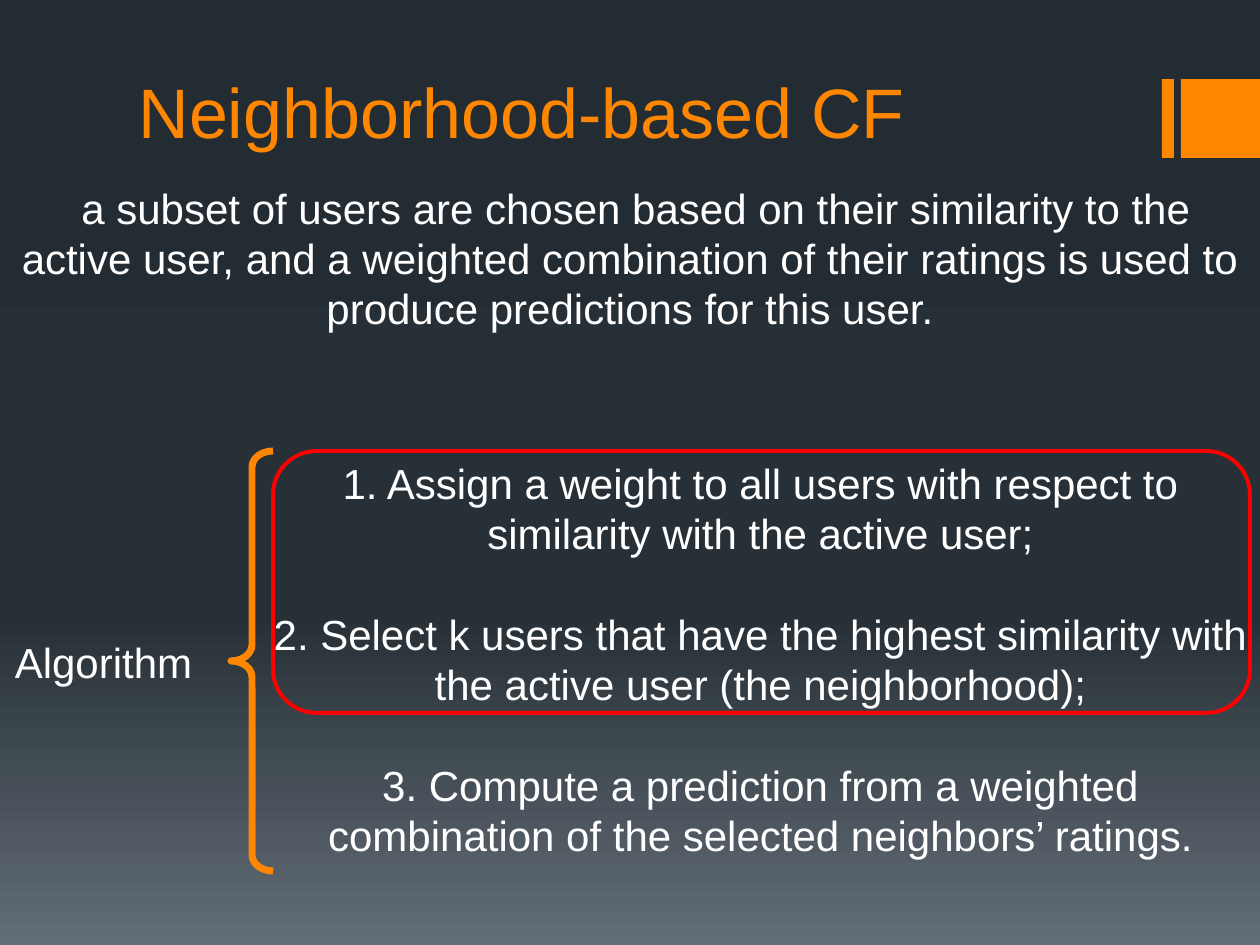
from lxml import etree
from pptx import Presentation
from pptx import util as u
from pptx.dml.color import RGBColor
from pptx.enum import shapes, text
from pptx.oxml.ns import qn

# Content
TITLE = "Neighborhood-based CF"
SUMMARY = [" a subset of users are chosen based on their similarity to the active user, "
           "and a weighted combination of their ratings is used to produce predictions "
           "for this user."]
LABEL = ["Algorithm"]
STEPS = [
    "1. Assign a weight to all users with respect to similarity with the active user;",
    "2. Select k users that have the highest similarity with the active user "
    "(the neighborhood);",
    "3. Compute a prediction from a weighted combination of the selected "
    "neighbors’ ratings.",
]

THEME = dict(font="Arial", title_size=40, body_size=24, leading=28.8,
             accent="FF8600", text="FFFFFF", highlight="FF0000",
             background=[(0, "242C33"), (65, "273037"), (100, "636D76")])

# Layout, in px
PX = u.Inches(1) // 126
SLIDE = (1260, 945)
TITLE_BOX = (126, 0, 1008, 159)
BARS = [(1162, 79, 12, 79), (1181, 79, 79, 79)]
SUMMARY_BOX = (0, 176, 1260, 165)
STEPS_TOP, STEPS_HEIGHT = 451, 420
STEPS_BOX = (261, STEPS_TOP, 999, STEPS_HEIGHT)
BRACE_BOX = (231, STEPS_TOP, 42, STEPS_HEIGHT)
LABEL_BOX = (-28, 630, 263, 63)
HIGHLIGHT_BOX = (273, STEPS_TOP, 977, 262)


def emu(box):
    return [u.Emu(v * PX) for v in box]


def color(key):
    return RGBColor.from_string(THEME[key])


def style_run(run, size, color_key):
    run.font.name = THEME["font"]
    run.font.size = u.Pt(THEME[size])
    run.font.color.rgb = color(color_key)


def add_text(slide, box, lines):
    frame = slide.shapes.add_textbox(*emu(box)).text_frame
    frame.word_wrap = True
    frame.auto_size = text.MSO_AUTO_SIZE.SHAPE_TO_FIT_TEXT
    frame.text = "\n".join(lines)
    for index, paragraph in enumerate(frame.paragraphs):
        paragraph.alignment = text.PP_ALIGN.CENTER
        paragraph.line_spacing = u.Pt(THEME["leading"])
        paragraph.space_before = u.Pt(THEME["leading"] if index else 0)
        style_run(paragraph.runs[0], "body_size", "text")


def add_shape(slide, kind, box, fill=None, line=None, width=0):
    shape = slide.shapes.add_shape(kind, *emu(box))
    shape.shadow.inherit = False
    if fill:
        shape.fill.solid()
        shape.fill.fore_color.rgb = color(fill)
    else:
        shape.fill.background()
    if line:
        shape.line.color.rgb = color(line)
        shape.line.width = u.Pt(width)
    else:
        shape.line.fill.background()
    return shape


def paint_background(slide):
    fill = slide.background.fill
    fill.gradient()
    stops = fill.gradient_stops
    fill.gradient_angle = 270  # counter-clockwise, so top to bottom
    gradient_list = slide.element.find(".//" + qn("a:gsLst"))
    for stop in list(gradient_list):
        gradient_list.remove(stop)
    for percent, rgb in THEME["background"]:
        stop = etree.SubElement(gradient_list, qn("a:gs"), pos=str(percent * 1000))
        etree.SubElement(stop, qn("a:srgbClr"), val=rgb)


def main():
    prs = Presentation()
    prs.slide_width, prs.slide_height = emu(SLIDE)
    slide = prs.slides.add_slide(prs.slide_layouts[5])
    paint_background(slide)

    # Title and corner bars
    for bar in BARS:
        add_shape(slide, shapes.MSO_SHAPE.RECTANGLE, bar, fill="accent")
    title = slide.shapes.title
    title.left, title.top, title.width, title.height = emu(TITLE_BOX)
    frame = title.text_frame
    frame.text = TITLE
    frame.vertical_anchor = text.MSO_ANCHOR.BOTTOM
    frame.paragraphs[0].alignment = text.PP_ALIGN.LEFT
    style_run(frame.paragraphs[0].runs[0], "title_size", "accent")

    # Summary and algorithm steps
    add_text(slide, SUMMARY_BOX, SUMMARY)
    add_text(slide, STEPS_BOX, STEPS)
    brace = add_shape(slide, shapes.MSO_SHAPE.LEFT_BRACE, BRACE_BOX,
                      line="accent", width=4)
    brace.adjustments[0] = 0.38
    add_text(slide, LABEL_BOX, LABEL)

    # Frame around the first two steps
    add_shape(slide, shapes.MSO_SHAPE.ROUNDED_RECTANGLE, HIGHLIGHT_BOX,
              line="highlight", width=2.25)

    prs.save("out.pptx")


if __name__ == "__main__":
    main()
